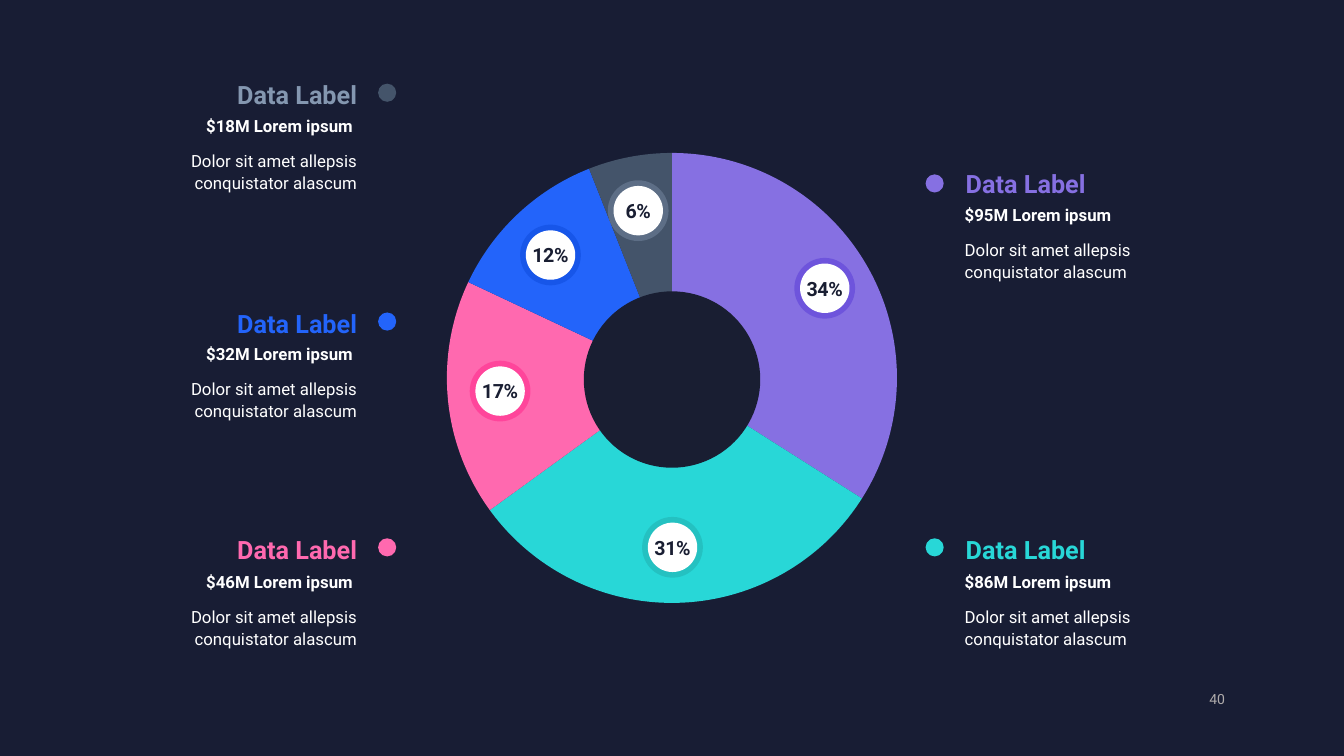
from dataclasses import dataclass

from lxml import etree
from pptx import Presentation
from pptx import util as u
from pptx.chart import data as chart_data
from pptx.dml import color
from pptx.enum import chart as chart_enum, shapes, text
from pptx.oxml import ns, parse_xml

COLORS = {
    "background": "181D34", "ink": "191E32", "white": "FFFFFF", "page": "AFABAB",
    "violet": "8670E2", "teal": "28D7D7", "pink": "FF69AF", "blue": "2364FA",
    "slate": "44546A", "slate_light": "8497B0", "violet_ring": "4B2BD3",
    "teal_ring": "1EA1A1", "pink_ring": "FF0F7F", "blue_ring": "0542D1",
}
FONT = "Roboto"
DOT, RING, DISK = 0.18, 0.54, 0.49
LEFT, RIGHT = text.PP_ALIGN.LEFT, text.PP_ALIGN.RIGHT


@dataclass
class Segment:
    percent: int
    fill: str
    heading: str
    ring: str
    badge_center: tuple
    amount: str
    on_left: bool
    dot_top: float
    heading_top: float
    body_top: float


SEGMENTS = [
    Segment(34, "violet", "violet", "violet_ring", (8.18, 2.86),
            "$95M Lorem ipsum", False, 1.73, 1.53, 1.91),
    Segment(31, "teal", "teal", "teal_ring", (6.67, 5.43),
            "$86M Lorem ipsum", False, 5.34, 5.16, 5.55),
    Segment(17, "pink", "pink", "pink_ring", (4.96, 3.88),
            "$46M Lorem ipsum ", True, 5.34, 5.16, 5.55),
    Segment(12, "blue", "blue", "blue_ring", (5.46, 2.53),
            "$32M Lorem ipsum ", True, 3.1, 2.92, 3.29),
    Segment(6, "slate", "slate_light", "slate_light", (6.33, 2.09),
            "$18M Lorem ipsum ", True, 0.83, 0.65, 1.03),
]


def rgb(name):
    return color.RGBColor.from_string(COLORS[name])


def style_font(font, size, color_name, bold=False):
    font.name, font.size, font.bold = FONT, u.Pt(size), bold
    font.color.rgb = rgb(color_name)


def set_insets(frame, inset):
    frame.margin_left = frame.margin_right = u.Inches(inset)
    frame.margin_top = frame.margin_bottom = u.Inches(inset)


def add_circle(slide, left, top, size, fill=None):
    circle = slide.shapes.add_shape(
        shapes.MSO_SHAPE.OVAL, u.Inches(left), u.Inches(top), u.Inches(size), u.Inches(size))
    circle.shadow.inherit = False
    circle.line.fill.background()
    if fill:
        circle.fill.solid()
        circle.fill.fore_color.rgb = rgb(fill)
    else:
        circle.fill.background()
    return circle


def add_text(slide, area, lines, align, anchor, inset=0.1):
    box = slide.shapes.add_textbox(*(u.Inches(value) for value in area))
    frame = box.text_frame
    frame.word_wrap = True
    frame.vertical_anchor = anchor
    set_insets(frame, inset)
    frame.text = "\n".join(line[0] for line in lines)
    for para, (_, size, color_name, bold) in zip(frame.paragraphs, lines):
        para.alignment = align
        style_font(para.runs[0].font, size, color_name, bold)
    return frame


def add_pie(slide):
    values = chart_data.CategoryChartData()
    values.categories = [str(number) for number in range(1, len(SEGMENTS) + 1)]
    values.add_series("Series 1", [segment.percent for segment in SEGMENTS])
    chart = slide.shapes.add_chart(
        chart_enum.XL_CHART_TYPE.PIE, u.Inches(3.11), u.Inches(1.38),
        u.Inches(7.11), u.Inches(4.74), values).chart
    chart.has_legend = chart.has_title = False
    style_font(chart.font, 10, "ink")
    plot = chart.plots[0]
    plot.vary_by_categories = True
    for index, segment in enumerate(SEGMENTS):
        slice_format = plot.series[0].points[index].format
        slice_format.fill.solid()
        slice_format.fill.fore_color.rgb = rgb(segment.fill)
        slice_format.line.fill.background()
    place_plot(chart, x=0.186, y=0.029, w=0.628, h=0.942)


def place_plot(chart, **fractions):
    area = chart.element.find(".//" + ns.qn("c:plotArea"))
    for old in area.findall(ns.qn("c:layout")):
        area.remove(old)
    settings = {"layoutTarget": "inner", "xMode": "edge", "yMode": "edge", **fractions}
    parts = "".join(f'<c:{tag} val="{value}"/>' for tag, value in settings.items())
    area.insert(0, parse_xml(
        f'<c:layout {ns.nsdecls("c")}><c:manualLayout>{parts}</c:manualLayout></c:layout>'))


def add_badge(slide, segment):
    x, y = segment.badge_center
    ring = add_circle(slide, x - RING / 2, y - RING / 2, RING)
    ring.line.color.rgb = rgb(segment.ring)
    ring.line.width = u.Pt(4.5)
    ring_color = ring.line._ln.find(".//" + ns.qn("a:srgbClr"))
    etree.SubElement(ring_color, ns.qn("a:alpha"), val="40000")

    disk = add_circle(slide, x - DISK / 2, y - DISK / 2, DISK, "white")
    frame = disk.text_frame
    frame.word_wrap = False
    frame.vertical_anchor = text.MSO_ANCHOR.MIDDLE
    set_insets(frame, 0)
    frame.text = f"{segment.percent}%"
    para = frame.paragraphs[0]
    para.alignment = text.PP_ALIGN.CENTER
    span = para.runs[0]
    style_font(span.font, 14, "ink", True)
    span.font._element.set("spc", "-30")


def add_label(slide, segment):
    if segment.on_left:
        dot_left, heading_left, heading_width = 3.75, 0.8, 2.84
        body_left, body_width, align = 1.4, 2.24, RIGHT
    else:
        dot_left, heading_left, heading_width = 9.18, 9.48, 2.99
        body_left, body_width, align = 9.47, 2.1, LEFT
    add_circle(slide, dot_left, segment.dot_top, DOT, segment.fill)
    add_text(slide, (heading_left, segment.heading_top, heading_width, 0.54),
             [("Data Label", 18, segment.heading, True)], align, text.MSO_ANCHOR.BOTTOM)
    body = add_text(slide, (body_left, segment.body_top, body_width, 1.01),
                    [(segment.amount, 12, "white", True),
                     ("Dolor sit amet allepsis conquistator alascum", 12, "white", False)],
                    align, text.MSO_ANCHOR.TOP)
    for para in body.paragraphs:
        para.line_spacing = 1.1
        para.space_after = u.Pt(9)


def main():
    deck = Presentation()
    deck.slide_width, deck.slide_height = u.Inches(13.33), u.Inches(7.5)
    slide = deck.slides.add_slide(deck.slide_layouts[6])
    slide.background.fill.solid()
    slide.background.fill.fore_color.rgb = rgb("background")

    page_number = add_text(slide, (11.57, 6.75, 0.58, 0.27), [("40", 10, "page", False)],
                           RIGHT, text.MSO_ANCHOR.BOTTOM, inset=0)
    page_number.paragraphs[0].space_after = u.Pt(4)
    add_pie(slide)
    add_circle(slide, 5.79, 2.89, 1.75, "ink")
    for segment in SEGMENTS:
        add_badge(slide, segment)
        add_label(slide, segment)
    deck.save("out.pptx")


if __name__ == "__main__":
    main()
